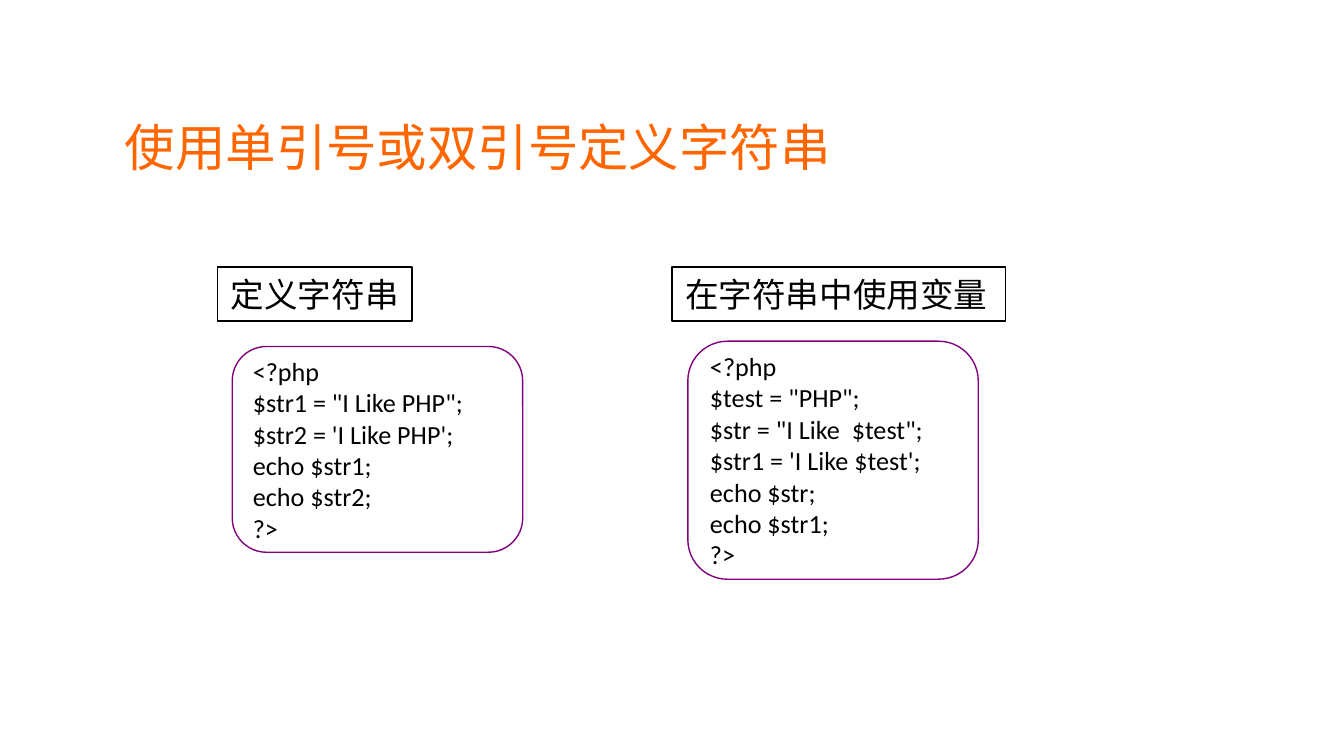
from pptx import Presentation
from pptx.dml.color import RGBColor
from pptx.enum.shapes import MSO_SHAPE
from pptx.enum.text import MSO_ANCHOR, PP_ALIGN
from pptx.util import Cm, Pt

RECT = MSO_SHAPE.RECTANGLE
ROUND = MSO_SHAPE.ROUNDED_RECTANGLE
TOP, MID = MSO_ANCHOR.TOP, MSO_ANCHOR.MIDDLE
LEFT = PP_ALIGN.LEFT

HUES = {"title": "FF6600", "text": "000000", "label": "000000", "code": "800080"}


def write(shape, lines, font, size, hue, anchor, wrap, pad):
    frame = shape.text_frame
    frame.text = "\n".join(lines)
    form = {
        "word_wrap": wrap,
        "vertical_anchor": anchor,
        "margin_left": Cm(pad),
        "margin_right": Cm(pad),
        "margin_top": Cm(pad / 2),
        "margin_bottom": Cm(pad / 2),
    }
    for key, val in form.items():
        setattr(frame, key, val)
    for para in frame.paragraphs:
        para.alignment = LEFT
        for key, val in {"name": font, "size": Pt(size), "bold": False}.items():
            setattr(para.font, key, val)
        para.font.color.rgb = RGBColor.from_string(HUES[hue])


def frame_box(kind, place, hue):
    shape = slide.shapes.add_shape(kind, *map(Cm, place))
    shape.shadow.inherit = False
    shape.fill.background()
    shape.line.color.rgb = RGBColor.from_string(HUES[hue])
    shape.line.width = Pt(0.75)
    return shape


deck = Presentation()
deck.slide_width, deck.slide_height = Cm(25.4), Cm(14.29)
slide = deck.slides.add_slide(deck.slide_layouts[5])

title = slide.shapes.title
spot = {"left": 2.16, "top": 1.78, "width": 14.22, "height": 1.96}
for key, val in spot.items():
    setattr(title, key, Cm(val))
write(title, ["使用单引号或双引号定义字符串"], "Arial", 27, "title", MID, True, 0.2)

parts = [
    (
        "定义字符串", (4.11, 5.05, 3.68, 1.02), (4.39, 6.55, 5.49, 3.89),
        [
            "<?php",
            '$str1 = "I Like PHP";',
            "$str2 = 'I Like PHP';",
            "echo $str1;",
            "echo $str2;",
            "?>",
        ],
    ),
    (
        "在字符串中使用变量", (12.7, 5.05, 6.3, 1.02), (13, 6.45, 5.49, 4.5),
        [
            "<?php",
            '$test = "PHP";',
            '$str = "I Like  $test";',
            "$str1 = 'I Like $test';",
            "echo $str;",
            "echo $str1;",
            "?>",
        ],
    ),
]
for head, head_at, code_at, code in parts:
    label = frame_box(RECT, head_at, "label")
    write(label, [head], "Arial", 18, "text", TOP, False, 0.25)
    box = frame_box(ROUND, code_at, "code")
    write(box, code, "Calibri", 14, "text", MID, True, 0.2)

deck.save("out.pptx")
